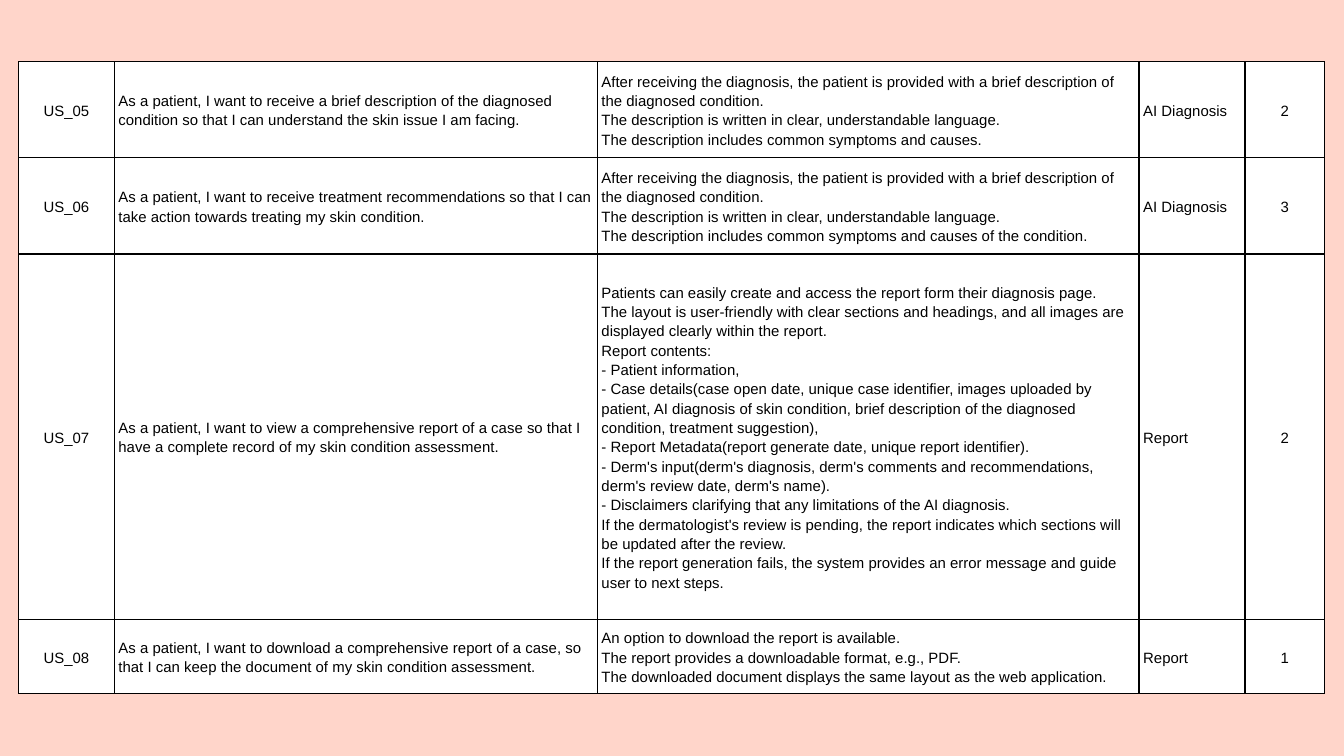
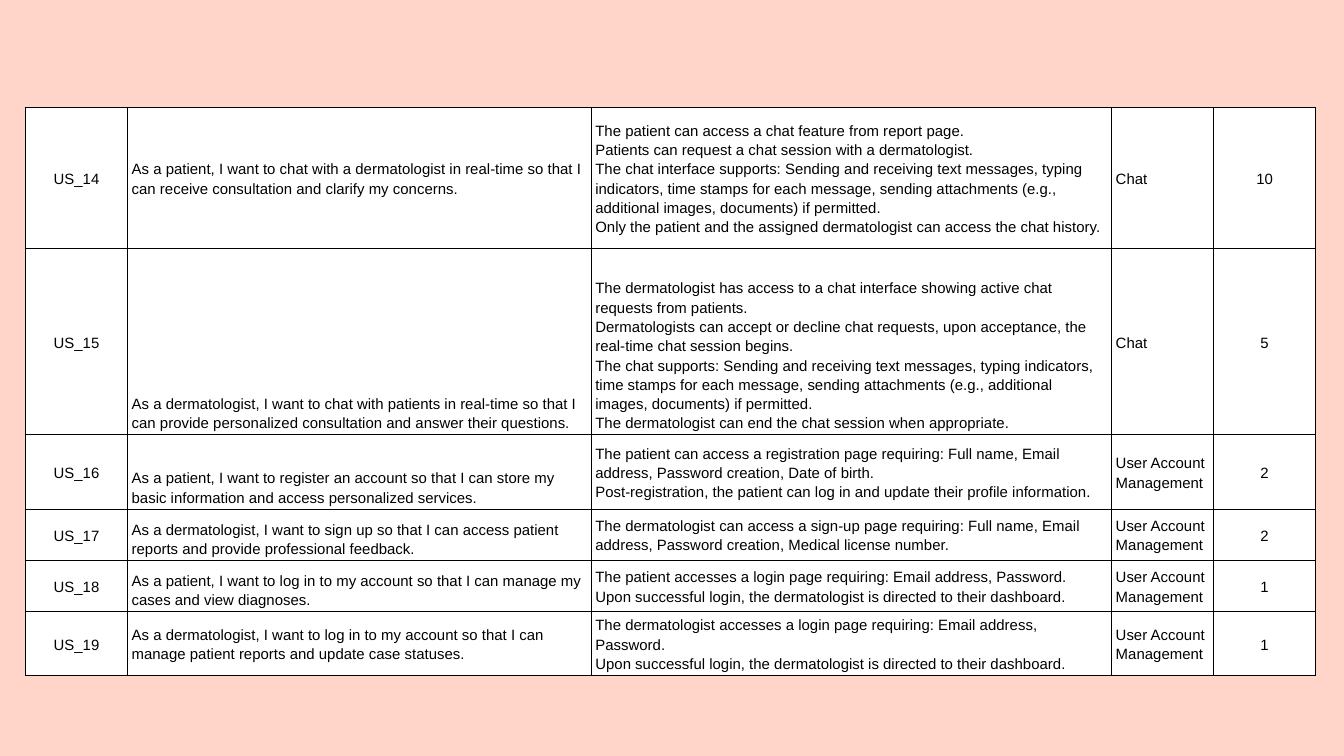
import lxml.etree
import pptx
import pptx.dml.color
import pptx.enum.text
import pptx.oxml.ns
import pptx.util

Pt = pptx.util.Pt
qn = pptx.oxml.ns.qn
ALIGN = pptx.enum.text.PP_ALIGN
ANCHOR = pptx.enum.text.MSO_ANCHOR

PAGE_COLOR, CELL_COLOR, INK = "FFD5CA", "FFFFFF", "000000"
CELL_FORMAT = {
    "margin_left": Pt(2.25), "margin_right": Pt(2.25),
    "margin_top": Pt(1.5), "margin_bottom": Pt(1.5),
}
FONT_FORMAT = {"name": "Arial", "size": Pt(8), "bold": False}
CENTERED_COLUMNS = (0, 4)  # story number and points
STORY, CRITERIA = 1, 2
BOTTOM_ANCHORED = {
    ("US_15", STORY), ("US_15", CRITERIA),
    ("US_16", STORY), ("US_17", STORY), ("US_18", STORY),
}

DESCRIPTION_GIVEN = (
    "After receiving the diagnosis, the patient is provided with a brief "
    "description of the diagnosed condition.")
CLEAR_LANGUAGE = "The description is written in clear, understandable language."
TO_DASHBOARD = (
    "Upon successful login, the dermatologist is directed to their dashboard.")

# Each story: number, story, acceptance criteria, epic, points
diagnosis_stories = [
    ("US_05",
     "As a patient, I want to receive a brief description of the diagnosed "
     "condition so that I can understand the skin issue I am facing.",
     [DESCRIPTION_GIVEN, CLEAR_LANGUAGE,
      "The description includes common symptoms and causes."],
     "AI Diagnosis", 2),
    ("US_06",
     "As a patient, I want to receive treatment recommendations so that I can "
     "take action towards treating my skin condition.",
     [DESCRIPTION_GIVEN, CLEAR_LANGUAGE,
      "The description includes common symptoms and causes of the condition."],
     "AI Diagnosis", 3),
    ("US_07",
     "As a patient, I want to view a comprehensive report of a case so that I "
     "have a complete record of my skin condition assessment.",
     ["Patients can easily create and access the report form their diagnosis page.",
      "The layout is user-friendly with clear sections and headings, and all "
      "images are displayed clearly within the report.",
      "Report contents:",
      "- Patient information,",
      "- Case details(case open date, unique case identifier, images uploaded by "
      "patient, AI diagnosis of skin condition, brief description of the "
      "diagnosed condition, treatment suggestion),",
      "- Report Metadata(report generate date, unique report identifier).",
      "- Derm's input(derm's diagnosis, derm's comments and recommendations, "
      "derm's review date, derm's name).",
      "- Disclaimers clarifying that any limitations of the AI diagnosis.",
      "If the dermatologist's review is pending, the report indicates which "
      "sections will be updated after the review.",
      "If the report generation fails, the system provides an error message and "
      "guide user to next steps."],
     "Report", 2),
    ("US_08",
     "As a patient, I want to download a comprehensive report of a case, so "
     "that I can keep the document of my skin condition assessment.",
     ["An option to download the report is available.",
      "The report provides a downloadable format, e.g., PDF.",
      "The downloaded document displays the same layout as the web application."],
     "Report", 1),
]

chat_and_account_stories = [
    ("US_14",
     "As a patient, I want to chat with a dermatologist in real-time so that I "
     "can receive consultation and clarify my concerns.",
     ["The patient can access a chat feature from report page.",
      "Patients can request a chat session with a dermatologist.",
      "The chat interface supports: Sending and receiving text messages, typing "
      "indicators, time stamps for each message, sending attachments (e.g., "
      "additional images, documents) if permitted.",
      "Only the patient and the assigned dermatologist can access the chat history."],
     "Chat", 10),
    ("US_15",
     "As a dermatologist, I want to chat with patients in real-time so that I "
     "can provide personalized consultation and answer their questions.",
     ["The dermatologist has access to a chat interface showing active chat "
      "requests from patients.",
      "Dermatologists can accept or decline chat requests, upon acceptance, the "
      "real-time chat session begins.",
      "The chat supports: Sending and receiving text messages, typing "
      "indicators, time stamps for each message, sending attachments (e.g., "
      "additional images, documents) if permitted.",
      "The dermatologist can end the chat session when appropriate."],
     "Chat", 5),
    ("US_16",
     "As a patient, I want to register an account so that I can store my basic "
     "information and access personalized services.",
     ["The patient can access a registration page requiring: Full name, Email "
      "address, Password creation, Date of birth.",
      "Post-registration, the patient can log in and update their profile "
      "information."],
     "User Account Management", 2),
    ("US_17",
     "As a dermatologist, I want to sign up so that I can access patient "
     "reports and provide professional feedback.",
     ["The dermatologist can access a sign-up page requiring: Full name, Email "
      "address, Password creation, Medical license number."],
     "User Account Management", 2),
    ("US_18",
     "As a patient, I want to log in to my account so that I can manage my "
     "cases and view diagnoses.",
     ["The patient accesses a login page requiring: Email address, Password.",
      TO_DASHBOARD],
     "User Account Management", 1),
    ("US_19",
     "As a dermatologist, I want to log in to my account so that I can manage "
     "patient reports and update case statuses.",
     ["The dermatologist accesses a login page requiring: Email address, Password.",
      TO_DASHBOARD],
     "User Account Management", 1),
]

# Each page: left, top, column widths, row heights, stories
pages = [
    (10, 33.1, [51.2, 258.8, 290.2, 56.8, 42.7],
     [51.5, 51.5, 195.8, 39.8], diagnosis_stories),
    (13.7, 57.6, [54.6, 248.4, 278.8, 54.6, 54.8],
     [75.5, 99.9, 39.8, 27.5, 27.5, 27.5], chat_and_account_stories),
]


def color(hex_code):
    return pptx.dml.color.RGBColor.from_string(hex_code)


def add_borders(cell):
    properties = cell._tc.get_or_add_tcPr()
    for side in ("lnL", "lnR", "lnT", "lnB"):
        line = lxml.etree.SubElement(properties, qn(f"a:{side}"), w=str(Pt(0.75)))
        fill = lxml.etree.SubElement(line, qn("a:solidFill"))
        lxml.etree.SubElement(fill, qn("a:srgbClr"), val=INK)


deck = pptx.Presentation()
deck.slide_width, deck.slide_height = Pt(720), Pt(405)
blank_layout = deck.slide_layouts[6]

for left, top, widths, heights, stories in pages:
    page = deck.slides.add_slide(blank_layout)
    page.background.fill.solid()
    page.background.fill.fore_color.rgb = color(PAGE_COLOR)

    table = page.shapes.add_table(
        len(heights), len(widths), Pt(left), Pt(top),
        Pt(sum(widths)), Pt(sum(heights))).table
    table.first_row = table.horz_banding = False
    for column, width in zip(table.columns, widths):
        column.width = Pt(width)
    for row, height in zip(table.rows, heights):
        row.height = Pt(height)

    for row, story in zip(table.rows, stories):
        for index, (cell, content) in enumerate(zip(row.cells, story)):
            add_borders(cell)
            cell.fill.solid()
            cell.fill.fore_color.rgb = color(CELL_COLOR)
            for name, value in CELL_FORMAT.items():
                setattr(cell, name, value)
            at_bottom = (story[0], index) in BOTTOM_ANCHORED
            cell.vertical_anchor = ANCHOR.BOTTOM if at_bottom else ANCHOR.MIDDLE

            lines = content if isinstance(content, list) else [str(content)]
            cell.text_frame.text = "\n".join(lines)
            for para in cell.text_frame.paragraphs:
                para.line_spacing = 1.15
                para.alignment = (
                    ALIGN.CENTER if index in CENTERED_COLUMNS else ALIGN.LEFT)
                for span in para.runs:
                    for name, value in FONT_FORMAT.items():
                        setattr(span.font, name, value)
                    span.font.color.rgb = color(INK)

deck.save("out.pptx")
